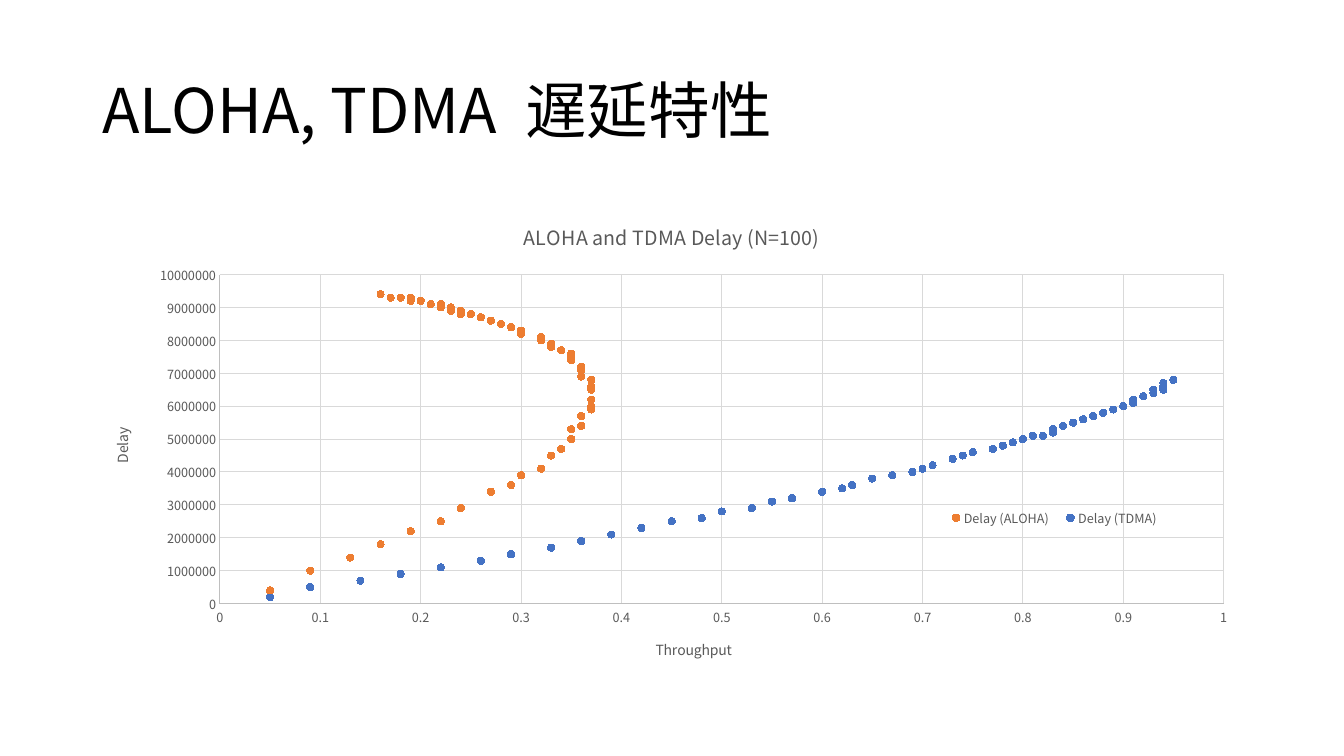
from dataclasses import dataclass

from lxml.etree import SubElement
from pptx import Presentation
from pptx.chart.data import XyChartData
from pptx.dml.color import RGBColor
from pptx.enum.chart import XL_CHART_TYPE, XL_LEGEND_POSITION, XL_MARKER_STYLE, XL_TICK_MARK
from pptx.enum.text import MSO_ANCHOR
from pptx.oxml.ns import qn
from pptx.util import Cm, Pt

DELAY_UNIT = 100_000
THROUGHPUT_UNIT = 100

# Throughput in hundredths, delay in units of 100000
ALOHA_THROUGHPUT = [
    5, 9, 13, 16, 19, 22, 24, 27, 29, 30, 32, 33, 34, 35, 35, 36, 36, 37, 37, 37,
    37, 37, 37, 36, 36, 36, 35, 35, 35, 34, 33, 33, 32, 32, 30, 30, 29, 28, 28, 27,
    27, 26, 25, 24, 24, 23, 23, 22, 22, 21, 20, 20, 19, 19, 18, 17, 17, 16, 16]
ALOHA_DELAY = [
    4, 10, 14, 18, 22, 25, 29, 34, 36, 39, 41, 45, 47, 50, 53, 54, 57, 59, 60, 62,
    65, 66, 68, 69, 71, 72, 74, 75, 76, 77, 78, 79, 80, 81, 82, 83, 84, 85, 85, 86,
    86, 87, 88, 88, 89, 89, 90, 90, 91, 91, 92, 92, 92, 93, 93, 93, 93, 94, 94]
TDMA_THROUGHPUT = [
    5, 9, 14, 18, 22, 26, 29, 33, 36, 39, 42, 45, 48, 50, 53, 55, 57, 60, 62, 63,
    65, 67, 69, 70, 71, 73, 74, 75, 77, 78, 79, 80, 81, 82, 83, 83, 84, 85, 86, 86,
    87, 88, 88, 89, 90, 90, 91, 91, 91, 92, 92, 93, 93, 93, 94, 94, 94, 94, 95]
TDMA_DELAY = [
    2, 5, 7, 9, 11, 13, 15, 17, 19, 21, 23, 25, 26, 28, 29, 31, 32, 34, 35, 36,
    38, 39, 40, 41, 42, 44, 45, 46, 47, 48, 49, 50, 51, 51, 52, 53, 54, 55, 56, 56,
    57, 58, 58, 59, 60, 60, 61, 62, 62, 63, 63, 64, 65, 65, 65, 66, 66, 67, 68]


@dataclass(frozen=True)
class Theme:
    font: str = "Noto Sans CJK JP"
    heading: str = "000000"
    label: str = "595959"
    axis: str = "BFBFBF"
    grid: str = "D9D9D9"
    aloha: str = "ED7D31"
    tdma: str = "4472C4"
    heading_size: float = 44
    chart_title_size: float = 14
    axis_title_size: float = 10
    label_size: float = 9
    line_width: float = 0.75
    marker_size: int = 5


def apply(target, values):
    for name, value in values.items():
        setattr(target, name, value)


def place(element, index, inner=False, **fractions):
    """Give a chart part a manual layout in fractions of the chart area."""
    for old in element.findall(qn("c:layout")):
        element.remove(old)
    layout = SubElement(element, qn("c:layout"))
    element.insert(index, layout)
    manual = SubElement(layout, qn("c:manualLayout"))
    entries = {"layoutTarget": "inner"} if inner else {}
    entries |= {"xMode": "edge", "yMode": "edge"} | fractions
    for name, value in entries.items():
        SubElement(manual, qn(f"c:{name}")).set("val", str(value))


class SlideBuilder:
    def __init__(self, page, theme):
        self.page = page
        self.theme = theme

    def style_font(self, font, size, color):
        apply(font, {"name": self.theme.font, "size": Pt(size), "bold": False})
        font.color.rgb = RGBColor.from_string(color)

    def style_line(self, line, color):
        line.color.rgb = RGBColor.from_string(color)
        line.width = Pt(self.theme.line_width)

    def heading(self, latin, japanese, left, top, width, height):
        frame = self.page.shapes.add_textbox(left, top, width, height).text_frame
        apply(frame, {"word_wrap": True, "vertical_anchor": MSO_ANCHOR.MIDDLE})
        para = frame.paragraphs[0]
        para.line_spacing = 0.9
        for text, spacing in ((latin, 0), (" ", 1000), (japanese, 0)):
            span = para.add_run()
            span.text = text
            self.style_font(span.font, self.theme.heading_size, self.theme.heading)
            properties = span._r.get_or_add_rPr()
            properties.set("spc", str(spacing))
            SubElement(properties, qn("a:ea")).set("typeface", self.theme.font)

    def chart_text(self, title, text, size):
        para = title.text_frame.paragraphs[0]
        span = para.add_run()
        span.text = text
        self.style_font(span.font, size, self.theme.label)

    def axis(self, axis, title, maximum, step, rotation):
        apply(axis, {
            "minimum_scale": 0, "maximum_scale": maximum, "major_unit": step,
            "has_major_gridlines": True, "has_minor_gridlines": False,
            "major_tick_mark": XL_TICK_MARK.NONE, "minor_tick_mark": XL_TICK_MARK.NONE})
        apply(axis.tick_labels, {"number_format": "General", "number_format_is_linked": False})
        self.style_font(axis.tick_labels.font, self.theme.label_size, self.theme.label)
        self.style_line(axis.format.line, self.theme.axis)
        self.style_line(axis.major_gridlines.format.line, self.theme.grid)
        self.chart_text(axis.axis_title, title, self.theme.axis_title_size)
        for body in axis.axis_title._element.iter(qn("a:bodyPr")):
            body.set("rot", str(rotation))

    def markers(self, series, color):
        series.smooth = False
        series.format.line.fill.background()
        marker = series.marker
        apply(marker, {"style": XL_MARKER_STYLE.CIRCLE, "size": self.theme.marker_size})
        marker.format.fill.solid()
        marker.format.fill.fore_color.rgb = RGBColor.from_string(color)
        self.style_line(marker.format.line, color)

    def legend(self, chart):
        chart.has_legend = True
        legend = chart.legend
        apply(legend, {"position": XL_LEGEND_POSITION.RIGHT, "include_in_layout": True})
        self.style_font(legend.font, self.theme.label_size, self.theme.label)
        place(legend._element, 1, x=0.73, y=0.63, w=0.2, h=0.06)

    def scatter(self, title, curves, left, top, width, height):
        data = XyChartData()
        for name, throughputs, delays, _ in curves:
            series = data.add_series(name)
            for throughput, delay in zip(throughputs, delays):
                series.add_data_point(throughput / THROUGHPUT_UNIT, delay * DELAY_UNIT)
        chart = self.page.shapes.add_chart(
            XL_CHART_TYPE.XY_SCATTER, left, top, width, height, data).chart
        self.style_font(chart.font, self.theme.axis_title_size, self.theme.heading)
        chart.has_title = True
        self.chart_text(chart.chart_title, title, self.theme.chart_title_size)
        plot = chart.plots[0]
        plot.vary_by_categories = False
        for series, (_, _, _, color) in zip(plot.series, curves):
            self.markers(series, color)
        self.axis(chart.category_axis, "Throughput", 1, 0.1, 0)
        self.axis(chart.value_axis, "Delay", 10_000_000, 1_000_000, -5_400_000)
        self.legend(chart)
        plot_area = chart._chartSpace.chart.plotArea
        place(plot_area, 0, inner=True, x=0.11, y=0.153, w=0.866, h=0.686)


def main():
    deck = Presentation()
    apply(deck, {"slide_width": Cm(33.87), "slide_height": Cm(19.05)})
    theme = Theme()
    builder = SlideBuilder(deck.slides.add_slide(deck.slide_layouts[6]), theme)
    left, width = Cm(2.33), Cm(29.21)
    builder.heading("ALOHA, TDMA", "遅延特性", left, Cm(1.01), width, Cm(3.68))
    curves = [
        ("Delay (ALOHA)", ALOHA_THROUGHPUT, ALOHA_DELAY, theme.aloha),
        ("Delay (TDMA)", TDMA_THROUGHPUT, TDMA_DELAY, theme.tdma)]
    builder.scatter("ALOHA and TDMA Delay (N=100)", curves, left, Cm(5.07), width, Cm(12.09))
    deck.save("out.pptx")


if __name__ == "__main__":
    main()
